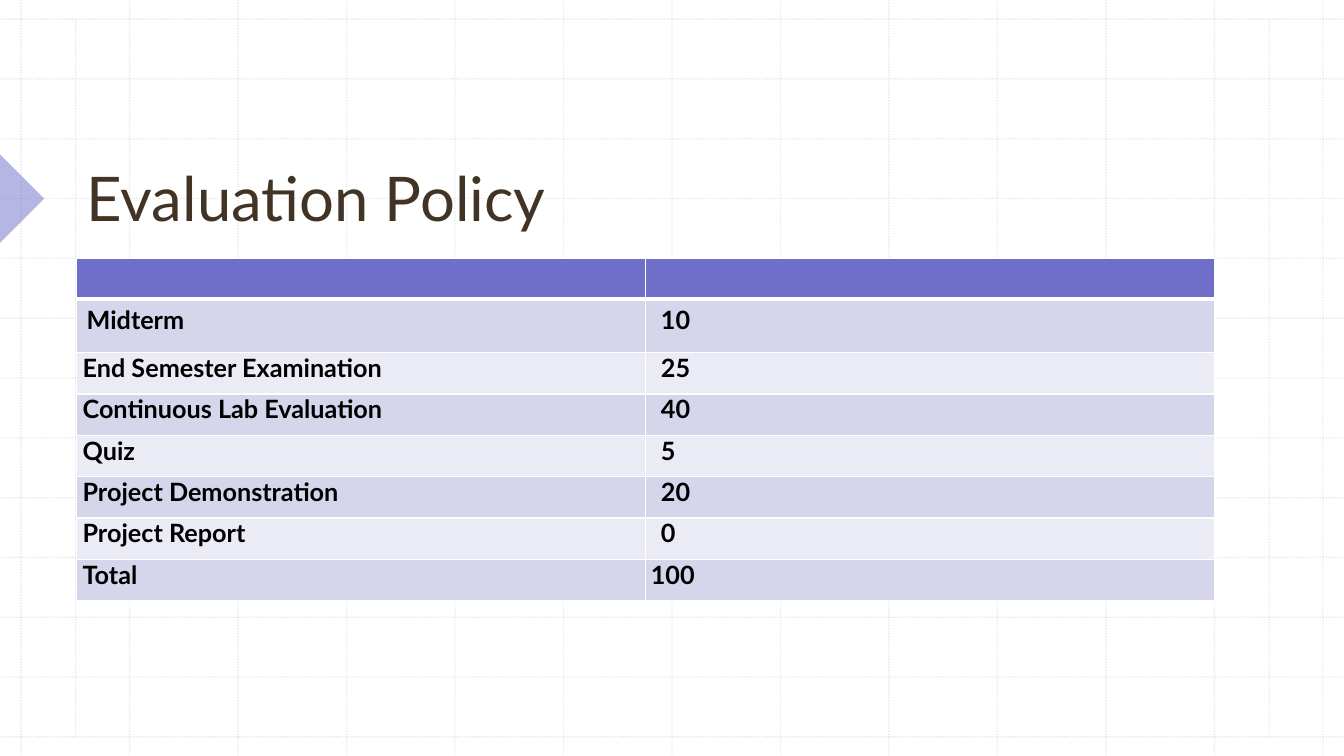
"""Build the evaluation policy slide with its weight table."""
import pptx
import pptx.dml.color
import pptx.enum.dml
import pptx.enum.shapes
import pptx.enum.text
import pptx.oxml
import pptx.oxml.ns
import pptx.util
from pptx.util import Inches, Pt

TITLE = "Evaluation Policy"
ROWS = [
    ("", ""),
    ("Midterm", "10"),
    ("End Semester Examination", "25"),
    ("Continuous Lab Evaluation", "40"),
    ("Quiz", "5"),
    ("Project Demonstration", "20"),
    ("Project Report", "0"),
    ("Total", "100"),
]
FONT = "Lato"
ACCENT, BROWN, BLACK, WHITE, GRAY = "6F6FCA", "413424", "000000", "FFFFFF", "BCBCBC"
BANDS = ("EBEBF6", "D5D5EC")
WIDTH, HEIGHT = 13.33, 7.5
GRID_LEFT, GRID_RIGHT, GRID_TOP, GRID_BOTTOM = 0.21, 13.12, 0.19, 7.31
GRID_STEPS = 12
MARGIN_LINES = (0.75, 12.59)
TABLE_LEFT, TABLE_TOP, TABLE_WIDTH = 0.76, 2.56, 11.29
ROW_HEIGHT, MIDTERM_HEIGHT = 0.41, 0.53


def color(value):
    return pptx.dml.color.RGBColor.from_string(value)


def make_element(tag, inner=""):
    return pptx.oxml.parse_xml(f'<a:{tag} {pptx.oxml.ns.nsdecls("a")}>{inner}</a:{tag.split()[0]}>')


def set_alpha(owner, percent):
    fill = owner.find(".//" + pptx.oxml.ns.qn("a:srgbClr"))
    fill.append(make_element(f'alpha val="{percent * 1000}"'))


def style(paragraph, size, value, bold=False):
    font = paragraph.font
    font.name, font.size, font.bold = FONT, Pt(size), bold
    font.color.rgb = color(value)


def add_grid_line(page, left, top, right, bottom):
    line = page.shapes.add_connector(
        pptx.enum.shapes.MSO_CONNECTOR.STRAIGHT,
        Inches(left), Inches(top), Inches(right), Inches(bottom))
    line.line.color.rgb = color(GRAY)
    line.line.width = Pt(1)
    line.line.dash_style = pptx.enum.dml.MSO_LINE.ROUND_DOT
    properties = line._element.spPr
    set_alpha(properties, 30)
    properties.append(make_element("effectLst"))


def add_grid(page):
    for step in range(GRID_STEPS + 1):
        x = GRID_LEFT + (GRID_RIGHT - GRID_LEFT) * step / GRID_STEPS
        y = GRID_TOP + (GRID_BOTTOM - GRID_TOP) * step / GRID_STEPS
        add_grid_line(page, x, 0, x, HEIGHT)
        add_grid_line(page, 0, y, WIDTH, y)
    for x in MARGIN_LINES:
        add_grid_line(page, x, GRID_TOP, x, GRID_BOTTOM)


def add_marker(page):
    marker = page.shapes.add_shape(
        pptx.enum.shapes.MSO_SHAPE.RIGHT_TRIANGLE,
        Inches(-0.31), Inches(1.66), Inches(0.62), Inches(0.62))
    marker.rotation = 225
    marker.shadow.inherit = False
    marker.fill.solid()
    marker.fill.fore_color.rgb = color(ACCENT)
    set_alpha(marker._element.spPr, 50)
    marker.line.fill.background()


def add_title(page):
    box = page.shapes.add_textbox(
        Inches(TABLE_LEFT), Inches(0.79), Inches(TABLE_WIDTH), Inches(1.58))
    frame = box.text_frame
    frame.word_wrap = True
    frame.vertical_anchor = pptx.enum.text.MSO_ANCHOR.BOTTOM
    frame.text = TITLE
    style(frame.paragraphs[0], 44, BROWN)


def set_borders(cell, row):
    widths = {"L": 1, "R": 1, "T": 3 if row == 1 else 1, "B": 3 if row == 0 else 1}
    for side, width in widths.items():
        cell._tc.get_or_add_tcPr().append(make_element(
            f'ln{side} w="{Pt(width)}"',
            f'<a:solidFill><a:srgbClr val="{WHITE}"/></a:solidFill>'))


def left_margin(row, column):
    if column == 0:
        return 0.1 if row <= 1 else 0.06
    return 0.05 if row == len(ROWS) - 1 else 0.15


def add_table(page):
    heights = [MIDTERM_HEIGHT if row == 1 else ROW_HEIGHT for row in range(len(ROWS))]
    table = page.shapes.add_table(
        len(ROWS), 2, Inches(TABLE_LEFT), Inches(TABLE_TOP),
        Inches(TABLE_WIDTH), Inches(sum(heights))).table
    table.first_row = table.horz_banding = False
    for row, (texts, height) in enumerate(zip(ROWS, heights)):
        table.rows[row].height = Inches(height)
        for column, text in enumerate(texts):
            cell = table.cell(row, column)
            cell.margin_left = Inches(left_margin(row, column))
            if row > 1:
                cell.margin_right = cell.margin_top = cell.margin_bottom = 0
            set_borders(cell, row)
            cell.fill.solid()
            cell.fill.fore_color.rgb = color(BANDS[row % 2] if row else ACCENT)
            cell.text = text
            style(cell.text_frame.paragraphs[0], 18, BLACK, bold=True)


def main():
    deck = pptx.Presentation()
    deck.slide_width, deck.slide_height = Inches(WIDTH), Inches(HEIGHT)
    page = deck.slides.add_slide(deck.slide_layouts[6])
    page.background.fill.solid()
    page.background.fill.fore_color.rgb = color(WHITE)
    add_grid(page)
    add_marker(page)
    add_title(page)
    add_table(page)
    deck.save("out.pptx")


if __name__ == "__main__":
    main()
